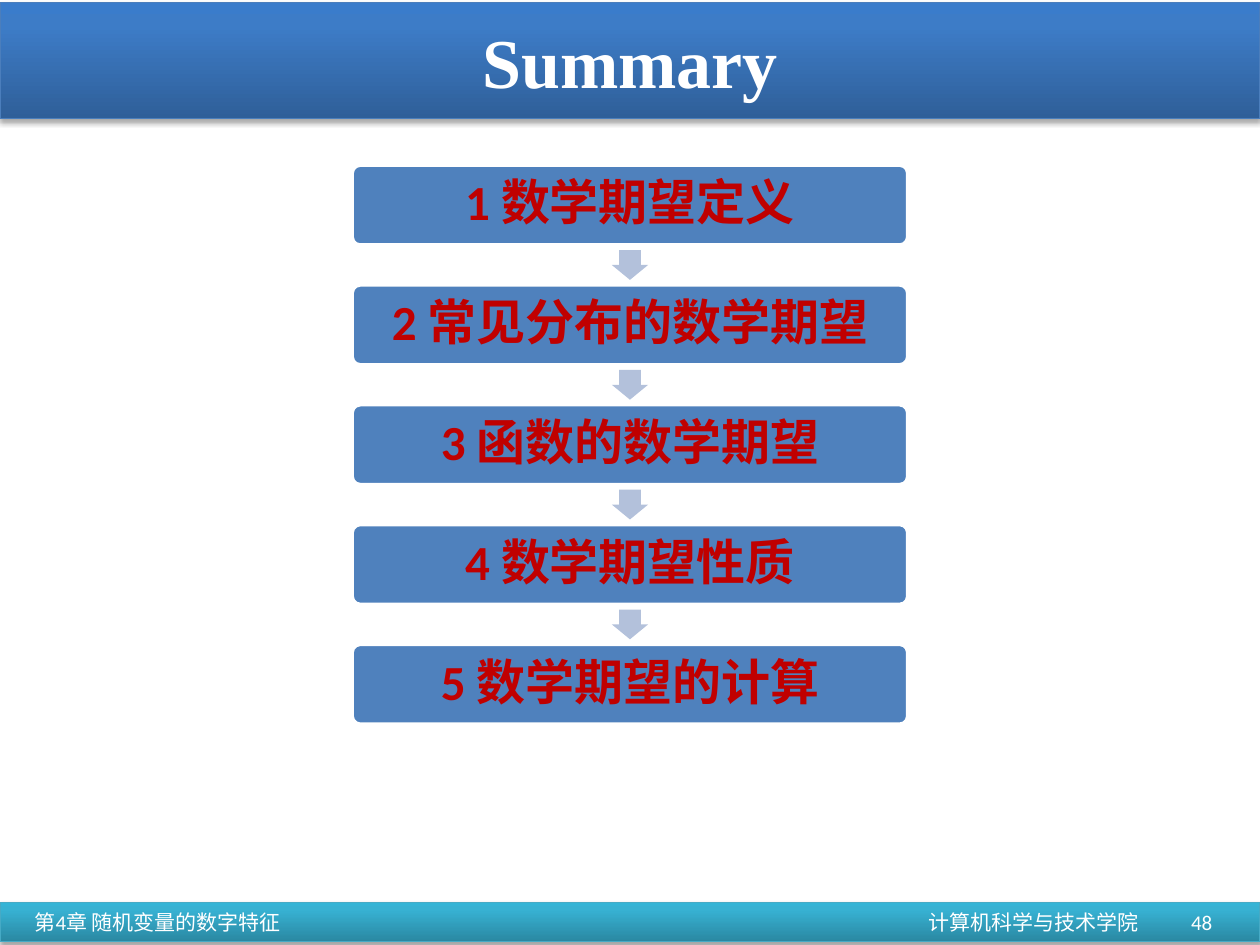
from copy import deepcopy

from lxml import etree
from pptx import Presentation
from pptx.dml.color import RGBColor
from pptx.enum.shapes import MSO_SHAPE as SHAPE
from pptx.enum.text import MSO_ANCHOR as ANCHOR, PP_ALIGN as ALIGN
from pptx.oxml.ns import qn
from pptx.util import Cm, Pt

COLORS = {
    "white": "FFFFFF",
    "step": "4F81BD",
    "step_text": "C00000",
    "arrow": "B3C1DB",
    "header_line": "4B7EBC",
    "footer_line": "46AAC5",
    "shadow": "000000",
}
HEADER_STOPS = [(0, "2F5F99"), (0.8, "3D7CC7"), (1, "3A7CCB")]
FOOTER_STOPS = [(0, "2A88A2"), (0.8, "37B1D2"), (1, "34B4D6")]


def add_band(top, height, stops, line):
    """Add a full-width bar with a vertical gradient and a soft shadow below."""
    sp = s.shapes.add_shape(SHAPE.RECTANGLE, 0, top, prs.slide_width, height)
    sp.fill.gradient()
    sp.fill.gradient_angle = 90
    stop_list = sp._element.spPr.find(".//" + qn("a:gsLst"))
    stop_list.append(deepcopy(stop_list[0]))
    for stop, (position, color) in zip(sp.fill.gradient_stops, stops):
        stop.position = position
        stop.color.rgb = RGBColor.from_string(color)
    sp.line.color.rgb = RGBColor.from_string(COLORS[line])
    sp.line.width = Pt(0.75)

    sp.shadow.inherit = False
    effects = sp._element.spPr.find(qn("a:effectLst"))
    shadow = etree.SubElement(effects, qn("a:outerShdw"), blurRad=str(Pt(3.1)),
                              dist=str(Pt(1.8)), dir="5400000", rotWithShape="0")
    color = etree.SubElement(shadow, qn("a:srgbClr"), val=COLORS["shadow"])
    etree.SubElement(color, qn("a:alpha"), val="35000")
    return sp


def write(sp, text, size, color, align, font="Calibri", bold=False):
    tf = sp.text_frame
    tf.text = text
    tf.word_wrap = True
    tf.vertical_anchor = ANCHOR.MIDDLE
    p = tf.paragraphs[0]
    p.alignment = align
    r = p.runs[0]
    r.font.name = font
    r.font.size = Pt(size)
    r.font.bold = bold
    r.font.color.rgb = RGBColor.from_string(COLORS[color])
    return tf


prs = Presentation()
prs.slide_width, prs.slide_height = Cm(25.4), Cm(19.05)
s = prs.slides.add_slide(prs.slide_layouts[5])

# Header and footer
footer_top, footer_height = Cm(18.19), Cm(0.79)
footer = add_band(footer_top, footer_height, FOOTER_STOPS, "footer_line")
tf = write(footer, "第4章 随机变量的数字特征", 12, "white", ALIGN.LEFT)
tf.margin_left = Cm(0.7)
for text, right in [("计算机科学与技术学院", 23.2), ("48", 24.69)]:
    width = Cm(6)
    box = s.shapes.add_textbox(Cm(right) - width, footer_top, width, footer_height)
    write(box, text, 12, "white", ALIGN.RIGHT)
add_band(Cm(0.05), Cm(2.34), HEADER_STOPS, "header_line")

title = s.shapes.title
s.shapes._spTree.append(title._element)
title.left, title.top, title.width, title.height = Cm(1.27), Cm(0.25), Cm(22.86), Cm(1.96)
write(title, "Summary", 40, "white", ALIGN.CENTER, "Times New Roman", True)

# Chain of topics with an arrow centred in each gap
topics = ["数学期望定义", "常见分布的数学期望", "函数的数学期望", "数学期望性质", "数学期望的计算"]
box_width, box_height, pitch = Cm(11.2), Cm(1.61), Cm(2.415)
arrow_width, arrow_height = Cm(0.73), Cm(0.6)
first_top = Cm(3.33)
center = prs.slide_width // 2

for i, topic in enumerate(topics):
    top = first_top + i * pitch
    if i:
        gap = pitch - box_height
        arrow = s.shapes.add_shape(SHAPE.DOWN_ARROW, center - arrow_width // 2,
                                   top - (gap + arrow_height) // 2,
                                   arrow_width, arrow_height)
        arrow.adjustments[0] = 0.6
        arrow.adjustments[1] = 0.5
        arrow.shadow.inherit = False
        arrow.fill.solid()
        arrow.fill.fore_color.rgb = RGBColor.from_string(COLORS["arrow"])
        arrow.line.fill.background()

    step = s.shapes.add_shape(SHAPE.ROUNDED_RECTANGLE, center - box_width // 2, top,
                              box_width, box_height)
    step.adjustments[0] = 0.1
    step.shadow.inherit = False
    step.fill.solid()
    step.fill.fore_color.rgb = RGBColor.from_string(COLORS["step"])
    step.line.color.rgb = RGBColor.from_string(COLORS["white"])
    step.line.width = Pt(2)
    tf = write(step, f"{i + 1} {topic}", 28, "step_text", ALIGN.CENTER, bold=True)
    tf.margin_left = tf.margin_right = tf.margin_top = tf.margin_bottom = Cm(0.36)
    tf.paragraphs[0].line_spacing = 0.9
    tf.paragraphs[0].space_after = Pt(9.8)

prs.save("out.pptx")
